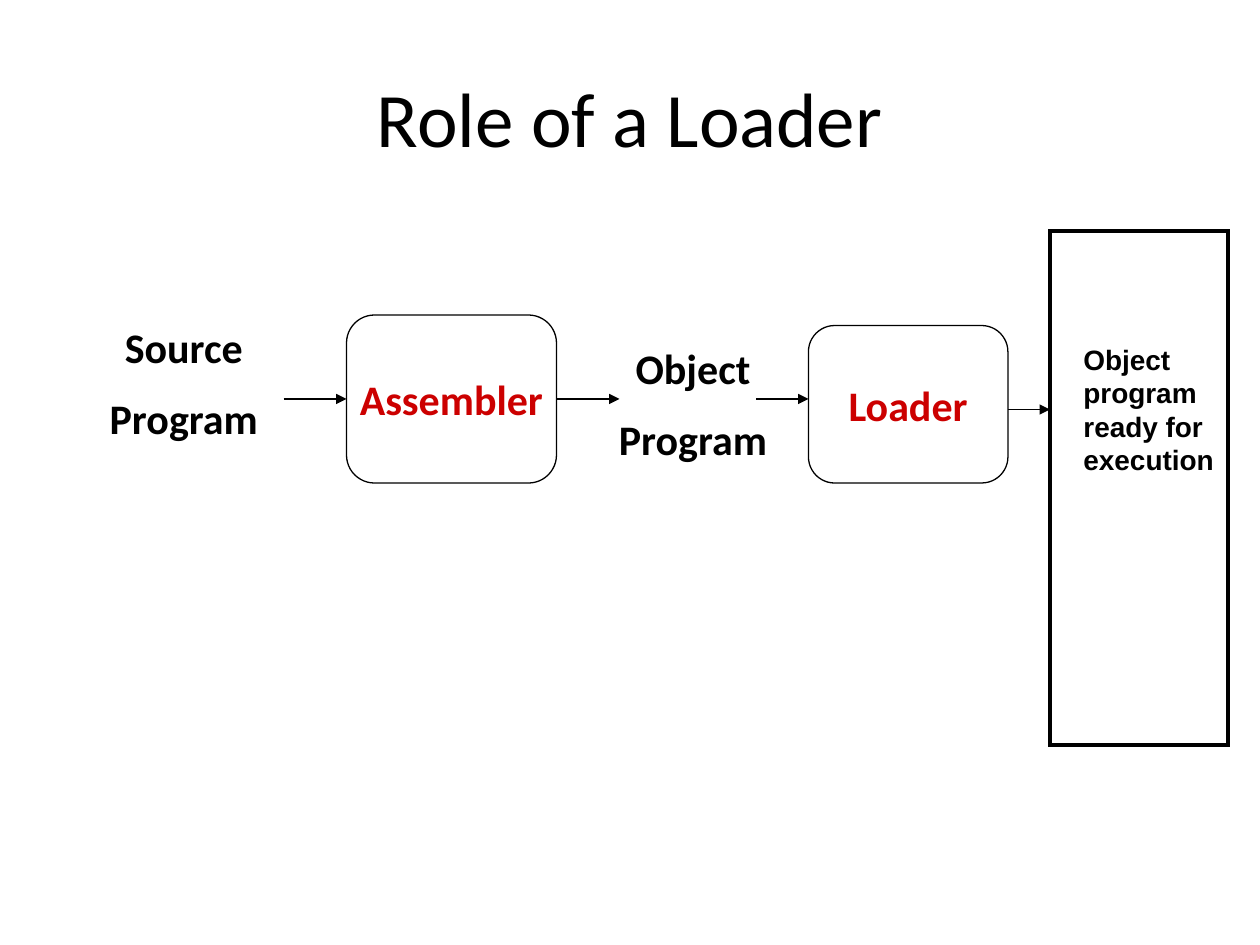
from dataclasses import dataclass

from lxml import etree
from pptx import Presentation
from pptx.dml.color import RGBColor
from pptx.enum.shapes import MSO_CONNECTOR as Connector, MSO_SHAPE as Shape
from pptx.enum.text import MSO_ANCHOR as Anchor, PP_ALIGN as Align
from pptx.oxml.ns import qn
from pptx.util import Pt

BLACK = RGBColor(0x00, 0x00, 0x00)
RED = RGBColor(0xCC, 0x00, 0x00)
LEFT_SIDE, RIGHT_SIDE = 1, 3


@dataclass(frozen=True)
class Box:
    """Position and size in points."""
    left: float
    top: float
    width: float
    height: float

    def lengths(self) -> tuple:
        return Pt(self.left), Pt(self.top), Pt(self.width), Pt(self.height)


@dataclass(frozen=True)
class TextStyle:
    size: float
    font: str = "Calibri"
    color: RGBColor = BLACK
    bold: bool = True
    align: Align = Align.CENTER
    space_before: float = 0
    anchor: Anchor = Anchor.TOP
    wrap: bool = True


TITLE = TextStyle(44, bold=False, anchor=Anchor.MIDDLE)
DATA = TextStyle(24, space_before=12)
PROCESS = TextStyle(24, color=RED, anchor=Anchor.MIDDLE, wrap=False)
RESULT = TextStyle(16, font="Arial", align=Align.LEFT, space_before=8)


def write_text(shape, lines: list[str], style: TextStyle) -> None:
    frame = shape.text_frame
    frame.word_wrap = style.wrap
    frame.vertical_anchor = style.anchor
    frame.text = "\n".join(lines)
    for paragraph in frame.paragraphs:
        paragraph.alignment = style.align
        paragraph.space_before = Pt(style.space_before)
        paragraph.font.size = Pt(style.size)
        paragraph.font.name = style.font
        paragraph.font.bold = style.bold
        paragraph.font.color.rgb = style.color


def add_label(slide, box: Box, lines: list[str], style: TextStyle) -> None:
    write_text(slide.shapes.add_textbox(*box.lengths()), lines, style)


def add_outline(slide, kind: Shape, box: Box, line_width: float):
    shape = slide.shapes.add_shape(kind, *box.lengths())
    shape.shadow.inherit = False
    shape.fill.background()
    shape.line.color.rgb = BLACK
    shape.line.width = Pt(line_width)
    # Square corners
    line = shape._element.spPr.get_or_add_ln()
    etree.SubElement(line, qn("a:miter"), lim="800000")
    return shape


def add_process(slide, box: Box, name: str):
    shape = add_outline(slide, Shape.FLOWCHART_ALTERNATE_PROCESS, box, 0.75)
    write_text(shape, [name], PROCESS)
    return shape


def add_arrow(slide, start: float, end: float, y: float):
    arrow = slide.shapes.add_connector(
        Connector.STRAIGHT, Pt(start), Pt(y), Pt(end), Pt(y))
    arrow.line.color.rgb = BLACK
    arrow.line.width = Pt(0.75)
    properties = arrow._element.spPr
    etree.SubElement(properties.get_or_add_ln(), qn("a:tailEnd"), type="triangle")
    etree.SubElement(properties, qn("a:effectLst"))
    return arrow


def main() -> None:
    presentation = Presentation()
    presentation.slide_width, presentation.slide_height = Pt(720), Pt(540)
    slide = presentation.slides.add_slide(presentation.slide_layouts[6])

    # Title
    add_label(slide, Box(36, 21.6, 648, 90), ["Role of a Loader"], TITLE)

    # Source program into the assembler
    add_label(slide, Box(42, 180, 126, 105), ["Source", "Program"], DATA)
    assembler = add_process(slide, Box(198, 180, 120, 96), "Assembler")
    add_arrow(slide, 162, 198, 228).end_connect(assembler, LEFT_SIDE)

    # Object program into the loader
    add_label(slide, Box(342, 192, 108, 105), ["Object", "Program"], DATA)
    add_arrow(slide, 318, 354, 228).begin_connect(assembler, RIGHT_SIDE)
    add_arrow(slide, 432, 462, 228)
    add_process(slide, Box(462, 186, 114, 90), "Loader")

    # Memory holding the loaded program
    add_outline(slide, Shape.RECTANGLE, Box(600, 132, 102, 294), 2.25)
    add_label(slide, Box(612, 192, 90, 83.5),
              ["Object program ready for execution"], RESULT)
    add_arrow(slide, 576, 600, 234)

    presentation.save("out.pptx")


if __name__ == "__main__":
    main()
